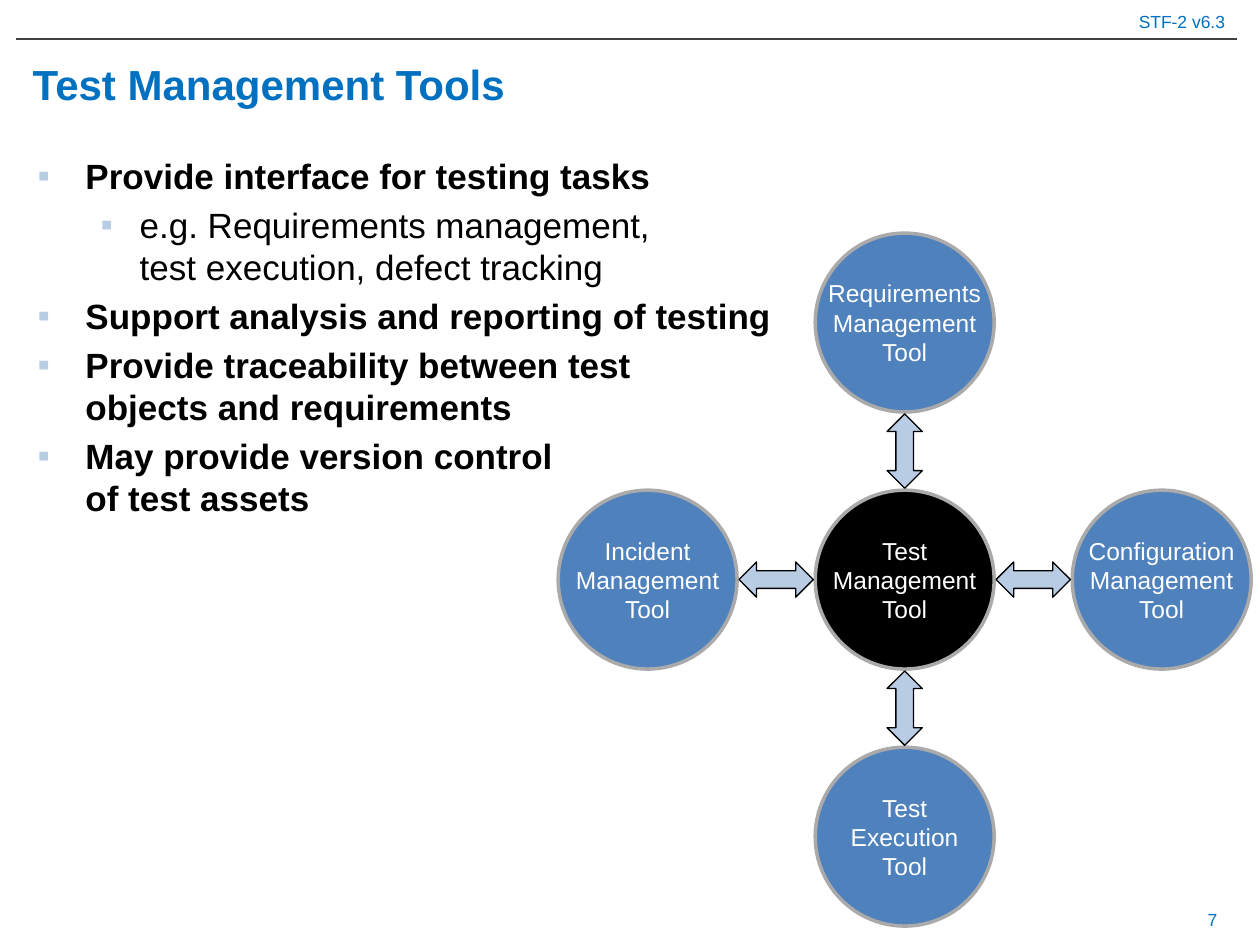
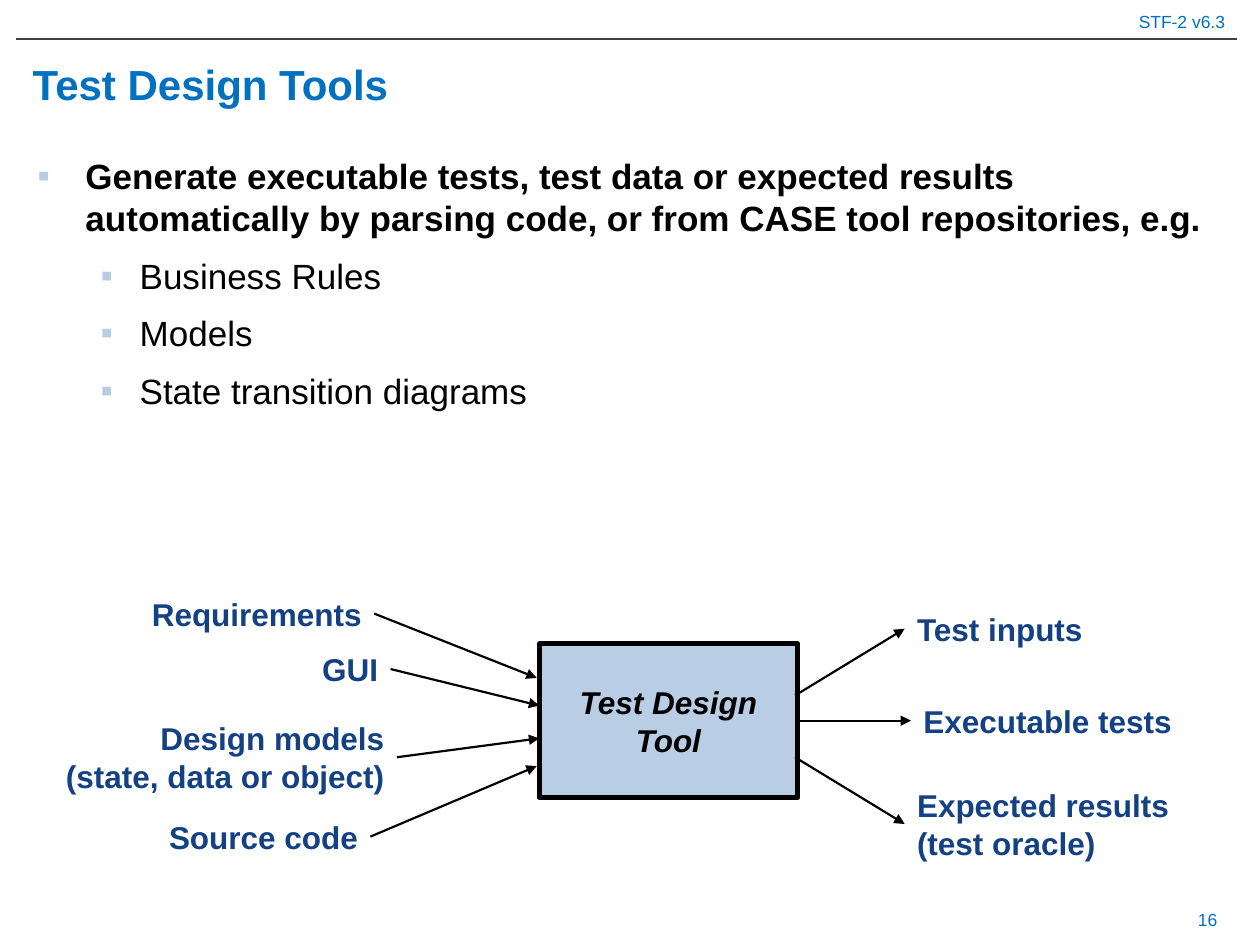
"""Build two slides on test management tools and test design tools."""
from lxml.etree import SubElement
from pptx import Presentation
from pptx.dml.color import RGBColor
from pptx.enum.shapes import MSO_CONNECTOR as Link, MSO_SHAPE as Shape
from pptx.enum.text import MSO_ANCHOR as Anchor, PP_ALIGN as Align
from pptx.oxml.ns import qn
from pptx.util import Inches, Pt

WIDE, HIGH = 10, 7.5
FONT = "Arial"
HEX = {"blue": "0070C0", "rule": "404040", "black": "000000", "white": "FFFFFF",
       "pale": "B8CCE4", "box": "B9CDE5", "disc": "4F81BD", "rim": "AAAAAA", "navy": "134183"}
HEADER = "STF-2 v6.3"

MANAGE = {
    "title": "Test Management Tools", "page": "7", "sub_gap": 1.0,
    "points": [
        (0, "Provide interface for testing tasks"),
        (1, "e.g. Requirements management, \ntest execution, defect tracking"),
        (0, "Support analysis and reporting of testing"),
        (0, "Provide traceability between test\nobjects and requirements"),
        (0, "May provide version control\nof test assets")]}
DESIGN = {
    "title": "Test Design Tools", "page": "16", "sub_gap": 1.2,
    "points": [
        (0, "Generate executable tests, test data or expected results "
            "automatically by parsing code, or from CASE tool repositories, e.g."),
        (1, "Business Rules"), (1, "Models"), (1, "State transition diagrams")]}

INDENT = [(0.38, -0.38), (0.81, -0.31)]

HUB = "Test Management Tool"
SPOKES = [("Requirements Management Tool", 0, -1), ("Configuration Management Tool", 1, 0),
          ("Test Execution Tool", 0, 1), ("Incident Management Tool", -1, 0)]
MID, STEP, DISC, ARROW = (7.18, 4.6), 2.04, 1.42, (0.59, 0.28)

TOOL, TOOL_BOX = ["Test Design", "Tool"], (4.28, 5.11, 2.05, 1.22)
INPUTS = [("Requirements", (2.97, 4.87), (4.26, 5.38)),
          ("GUI", (3.1, 5.31), (4.28, 5.6)),
          ("Design models\n(state, data or object)", (3.15, 6.01), (4.28, 5.86)),
          ("Source code", (2.94, 6.64), (4.26, 6.08))]
OUTPUTS = [("Test inputs", (6.31, 5.52), (7.18, 4.99)),
           ("Executable tests", (6.33, 5.72), (7.23, 5.72)),
           ("Expected results\n(test oracle)", (6.31, 6.01), (7.18, 6.54))]
LABEL = 2.8


def rgb(name):
    return RGBColor.from_string(HEX[name])


def place(shape, box):
    shape.left, shape.top, shape.width, shape.height = map(Inches, box)


def write(shape, lines, size, color, align=Align.LEFT, anchor=Anchor.MIDDLE,
          wrap=True, bold=False, slant=False):
    frame = shape.text_frame
    frame.word_wrap, frame.vertical_anchor = wrap, anchor
    for i, line in enumerate(lines):
        para = frame.add_paragraph() if i else frame.paragraphs[0]
        para.text, para.alignment = line, align
        for run in para.runs:
            font = run.font
            font.name, font.size, font.bold, font.italic = FONT, Pt(size), bold, slant
            font.color.rgb = rgb(color)
    return frame


def label(slide, box, lines, size, color, **look):
    return write(slide.shapes.add_textbox(*map(Inches, box)), lines, size, color, **look)


def draw(slide, kind, box, fill, line, width):
    shape = slide.shapes.add_shape(kind, *map(Inches, box))
    shape.shadow.inherit = False
    shape.fill.solid()
    shape.fill.fore_color.rgb = rgb(fill)
    shape.line.color.rgb, shape.line.width = rgb(line), Pt(width)
    return shape


def link(slide, start, end, color, width, head=True):
    wire = slide.shapes.add_connector(Link.STRAIGHT, *map(Inches, start + end))
    wire.line.color.rgb, wire.line.width = rgb(color), Pt(width)
    if head:
        SubElement(wire.line._get_or_add_ln(), qn("a:tailEnd"), type="triangle", w="med", len="med")
    SubElement(wire._element.spPr, qn("a:effectLst"))
    return wire


def bullet(para, level, gap):
    para.level, para.space_before, para.line_spacing = level, Pt(4), gap
    props = para._p.get_or_add_pPr()
    for key, size in zip(("marL", "indent"), INDENT[level]):
        props.set(key, str(Inches(size)))
    SubElement(SubElement(props, qn("a:buClr")), qn("a:srgbClr"), val=HEX["pale"])
    SubElement(props, qn("a:buFont"), typeface=FONT)
    SubElement(props, qn("a:buChar"), char="▪")


def base(deck, data):
    slide = deck.slides.add_slide(deck.slide_layouts[5])
    place(slide.shapes.title, (0.16, 0.39, 9.61, 0.55))
    write(slide.shapes.title, [data["title"]], 24, "blue", bold=True)
    label(slide, (0, 0.04, 9.82, 0.27), [HEADER], 10, "blue", align=Align.RIGHT, anchor=Anchor.TOP)
    link(slide, (0.13, 0.31), (9.82, 0.31), "rule", 0.75, head=False)
    label(slide, (7.43, 7.1, 2.33, 0.4), [data["page"]], 10, "blue", align=Align.RIGHT)
    body = label(slide, (0.2, 1.18, 9.65, 5.91), [text for _, text in data["points"]],
                 20, "black", anchor=Anchor.TOP)
    for para, (level, _) in zip(body.paragraphs, data["points"]):
        bullet(para, level, data["sub_gap"] if level else 1.0)
        for run in para.runs:
            run.font.bold = level == 0
    return slide


def around(x, y, wide, high):
    return x - wide / 2, y - high / 2, wide, high


def disc(slide, text, dx, dy, fill):
    box = around(MID[0] + dx * STEP, MID[1] + dy * STEP, DISC, DISC)
    shape = draw(slide, Shape.OVAL, box, fill, "rim", 2)
    write(shape, [text.replace(" ", "\n")], 14, "white", align=Align.CENTER, wrap=False)


def manage(deck):
    slide = base(deck, MANAGE)
    disc(slide, HUB, 0, 0, "black")
    for text, dx, dy in SPOKES:
        disc(slide, text, dx, dy, "disc")
        spot = around(MID[0] + dx * STEP / 2, MID[1] + dy * STEP / 2, *ARROW)
        arrow = draw(slide, Shape.LEFT_RIGHT_ARROW, spot, "pale", "black", 0.75)
        arrow.rotation = 90 if dy else 0


def tag(slide, text, x, y, align):
    high = 0.71 if "\n" in text else 0.4
    left = x - LABEL if align == Align.RIGHT else x
    label(slide, (left, y - high / 2, LABEL, high), [text], 18, "navy", align=align, bold=True)


def design(deck):
    slide = base(deck, DESIGN)
    tool = draw(slide, Shape.RECTANGLE, TOOL_BOX, "box", "black", 3)
    write(tool, TOOL, 18, "black", align=Align.CENTER, wrap=False, bold=True, slant=True)
    for text, start, end in INPUTS:
        tag(slide, text, *start, Align.RIGHT)
        link(slide, start, end, "black", 1.25)
    for text, start, end in OUTPUTS:
        tag(slide, text, *end, Align.LEFT)
        wire = link(slide, start, end, "black", 1.25)
        if start[1] == end[1]:
            wire.begin_connect(tool, 3)


def main():
    deck = Presentation()
    deck.slide_width, deck.slide_height = Inches(WIDE), Inches(HIGH)
    manage(deck)
    design(deck)
    deck.save("out.pptx")


if __name__ == "__main__":
    main()
